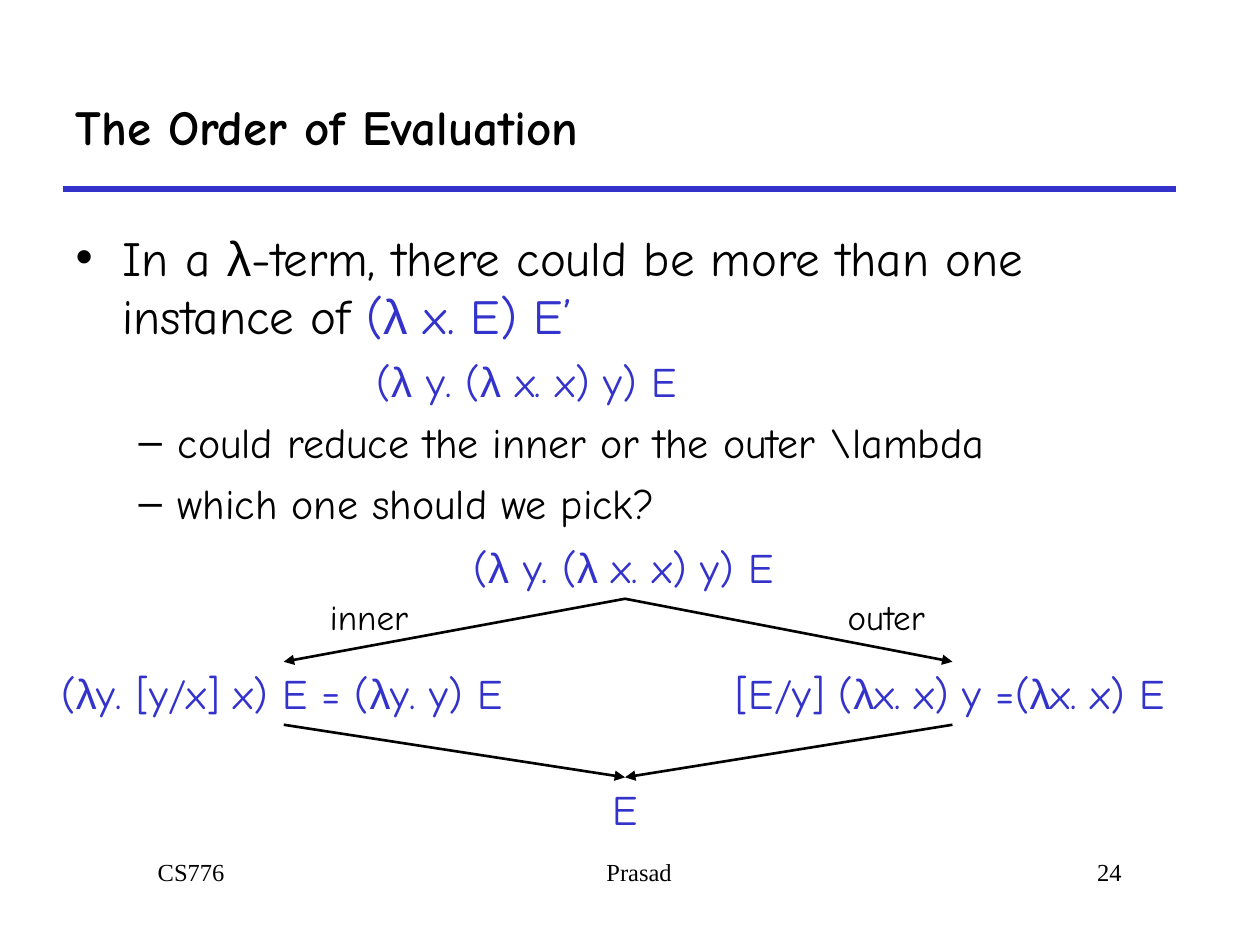
import itertools

import lxml.etree
import pptx
import pptx.dml.color
import pptx.enum.shapes
import pptx.enum.text
import pptx.oxml.ns
import pptx.util

Cm, Pt = pptx.util.Cm, pptx.util.Pt
ALIGN = pptx.enum.text.PP_ALIGN
COLOURS = {"text": "000000", "formula": "3333CC"}
BODY_FONT, SYMBOL_FONT, FOOTER_FONT = "Comic Neue", "Arial", "Times New Roman"


def style_font(font, size, colour, name=BODY_FONT):
    """Set size, colour and typeface of a font."""
    font.size, font.name = Pt(size), name
    font.color.rgb = pptx.dml.color.RGBColor.from_string(COLOURS[colour])


def fill_paragraph(para, spans, size, name=BODY_FONT):
    """Write (text, colour) spans, with every lambda in the symbol font."""
    base = spans[0][1]
    style_font(para.font, size, base, name)
    for text, colour in spans:
        for symbol, letters in itertools.groupby(text, lambda letter: letter == "λ"):
            span = para.add_run()
            span.text = "".join(letters)
            if symbol or colour != base:
                style_font(span.font, size, colour, SYMBOL_FONT if symbol else name)


def indent(para, left, first=0.0, bullet=None):
    """Set indents in centimetres and the bullet of a paragraph."""
    props = para._p.get_or_add_pPr()
    props.set("marL", str(Cm(left)))
    props.set("indent", str(Cm(first)))
    kind = "a:buChar" if bullet else "a:buNone"
    mark = lxml.etree.Element(pptx.oxml.ns.qn(kind))
    if bullet:
        mark.set("char", bullet)
    default = props.find(pptx.oxml.ns.qn("a:defRPr"))
    if default is None:
        props.append(mark)
    else:
        default.addprevious(mark)


def place(shape, box):
    """Move a shape to a (left, top, width, height) box in centimetres."""
    shape.left, shape.top, shape.width, shape.height = map(Cm, box)


def add_label(page, box, text, size, colour="text", name=BODY_FONT, wrap=False):
    """Add one line of text and return its paragraph."""
    frame = page.shapes.add_textbox(*map(Cm, box)).text_frame
    frame.word_wrap = wrap
    para = frame.paragraphs[0]
    fill_paragraph(para, [(text, colour)], size, name)
    return para


def add_line(page, start, end, colour, width, arrow=False):
    """Draw a straight line, with an arrowhead at its end if asked."""
    line = page.shapes.add_connector(
        pptx.enum.shapes.MSO_CONNECTOR.STRAIGHT, *map(Cm, (*start, *end)))
    line.line.width = Pt(width)
    line.line.color.rgb = pptx.dml.color.RGBColor.from_string(COLOURS[colour])
    if arrow:
        head = lxml.etree.SubElement(
            line.line._get_or_add_ln(), pptx.oxml.ns.qn("a:tailEnd"))
        head.set("type", "triangle")
    lxml.etree.SubElement(line._element.spPr, pptx.oxml.ns.qn("a:effectLst"))


def add_heading(page, box):
    """Fill the title and rule it off along the bottom of its box."""
    left, top, width, height = box
    title = page.shapes.title
    place(title, box)
    frame = title.text_frame
    frame.auto_size = pptx.enum.text.MSO_AUTO_SIZE.NONE
    frame.vertical_anchor = pptx.enum.text.MSO_ANCHOR.MIDDLE
    para = frame.paragraphs[0]
    fill_paragraph(para, [("The Order of Evaluation", "text")], 28)
    para.font.bold = True
    para.alignment = ALIGN.LEFT
    bottom = top + height
    add_line(page, (left, bottom), (left + width, bottom), "formula", 3)


def add_points(page, box):
    """Fill the body with the main point, its example and two questions."""
    body = page.placeholders[1]
    place(body, box)
    frame = body.text_frame
    frame.auto_size = pptx.enum.text.MSO_AUTO_SIZE.NONE
    main = [("In a λ-term, there could be more than one instance of ", "text"),
            ("(λ x. E) E’", "formula")]
    points = [
        (0, main, 28, 7, 0.95, -0.95, "•"),
        (1, [("(λ y. (λ x. x) y) E", "formula")], 24, 6, 6.07, 0, None),
        (1, [("could reduce the inner or the outer \\lambda", "text")],
         24, 6, 2.06, -0.79, "–"),
        (1, [("which one should we pick?", "text")], 24, 6, 2.06, -0.79, "–"),
    ]
    for number, (level, spans, size, before, left, first, bullet) in enumerate(points):
        para = frame.add_paragraph() if number else frame.paragraphs[0]
        para.level = level
        para.space_before = Pt(before)
        fill_paragraph(para, spans, size)
        indent(para, left, first, bullet)


def add_reduction(page, box):
    """Draw the two reduction paths that part and meet again."""
    left, top, width, height = box
    line_height = 1.27
    formulas = [
        (8.31, 0, 6.63, "(λ y. (λ x. x) y) E"),
        (0, 2.54, 9.47, "(λy. [y/x] x) E = (λy. y) E"),
        (13.59, 2.54, 9.25, "[E/y] (λx. x) y =(λx. x) E"),
        (11.1, height - line_height, 1.02, "E"),
    ]
    for across, down, span_width, text in formulas:
        add_label(page, (left + across, top + down, span_width, line_height),
                  text, 24, "formula")
    middle = left + 11.61
    for side, across, label_across, label in (
            ("inner", 4.73, 5.41, "inner"), ("outer", 18.21, 15.85, "outer")):
        branch = left + across
        add_line(page, (middle, top + 1.27), (branch, top + 2.54), "text", 1.5, True)
        add_line(page, (branch, top + 3.81), (middle, top + height - line_height),
                 "text", 1.5, True)
        add_label(page, (left + label_across, top + 1.07, 2.08, 1.12), label, 20)


def add_footer(page, box):
    """Set course, author and page number along the foot of the page."""
    left, top, width, height = box
    for across, part, text, align in (
            (0, 5.29, "CS776", ALIGN.LEFT), (5.49, 9.53, "Prasad", ALIGN.CENTER),
            (width - 5.29, 5.29, "24", ALIGN.RIGHT)):
        para = add_label(page, (left + across, top, part, height), text, 14,
                         name=FOOTER_FONT, wrap=True)
        para.alignment = align
        indent(para, 0.6)


def build():
    """Build and save the deck."""
    deck = pptx.Presentation()
    deck.slide_width, deck.slide_height = Cm(25.4), Cm(19.05)
    page = deck.slides.add_slide(deck.slide_layouts[1])
    add_heading(page, (1.27, 1.27, 22.43, 2.54))
    add_points(page, (1.27, 4.45, 23.06, 6.35))
    add_reduction(page, (0.99, 10.8, 22.84, 6.14))
    add_footer(page, (2.33, 17.15, 20.53, 1.27))
    deck.save("out.pptx")


build()
